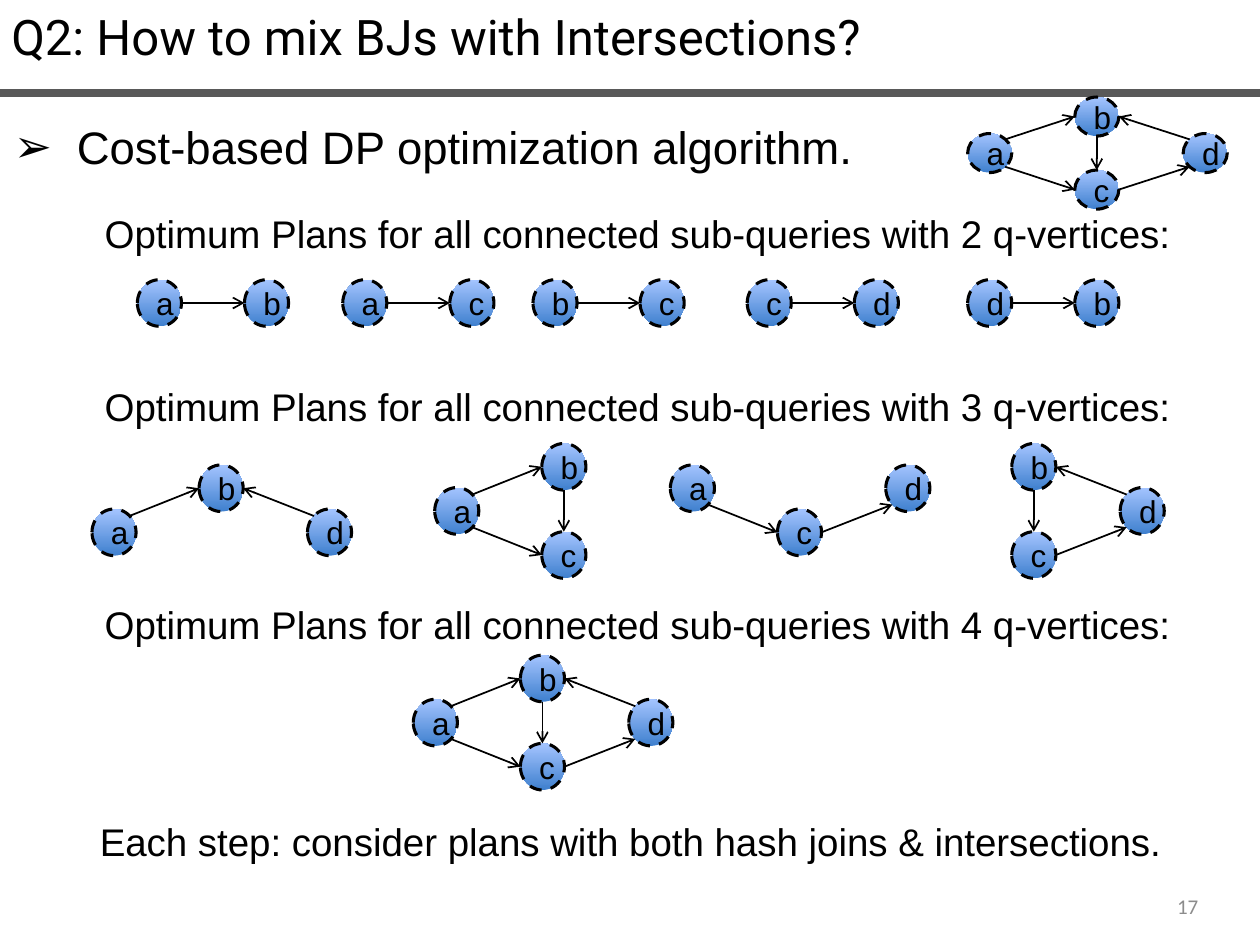
"""Build the slide on mixing binary joins with intersections."""
from dataclasses import dataclass

from pptx import Presentation
from pptx import util as u
from pptx.dml.color import RGBColor
from pptx.enum import dml, shapes, text
from pptx.oxml import ns, xmlchemy

PX = 9144
NODE_WIDTH = 35
COLUMN_SPAN = 171
QUERY_EDGES = ("ab", "ac", "bc", "db", "cd")
DIAMOND = {"a": (0, 1), "b": (1, 0), "c": (1, 2), "d": (2, 1)}
OUTER = "ad"


@dataclass(frozen=True)
class Theme:
    ink: str = "000000"
    rule: str = "595959"
    muted: str = "8C8C8C"
    node_bottom: str = "3F80CE"
    node_top: str = "A4C4FF"
    font: str = "Arial"
    title_font: str = "Roboto"
    number_font: str = "Calibri"
    title: int = 28
    bullet: int = 26
    heading: int = 22
    node: int = 18
    number: int = 12


@dataclass(frozen=True)
class Graph:
    vertices: str
    left: int
    top: int
    node_height: int = 37
    row_step: int = 35
    flat: bool = False


@dataclass(frozen=True)
class Caption:
    wording: str
    left: int
    top: int
    width: int


THEME = Theme()

GRAPHS = [
    Graph("abcd", 768, 77, node_height=31, row_step=29),
    *(Graph(pair, left, 222, flat=True) for pair, left in
      (("ab", 109), ("ac", 272), ("bc", 423), ("cd", 593), ("db", 768))),
    Graph("abd", 73, 369),
    Graph("abc", 345, 352),
    Graph("acd", 532, 334),
    Graph("bcd", 718, 352),
    Graph("abcd", 328, 520),
]

CAPTIONS = [
    *(Caption(f"Optimum Plans for all connected sub-queries with {count} q-vertices:", 67, top, 878)
      for count, top in ((2, 162), (3, 299), (4, 472))),
    Caption("Each step: consider plans with both hash joins & intersections.", 64, 644, 873),
]


def place(shape, left: int, top: int, width: int, height: int) -> None:
    """Move and size a shape in px."""
    shape.left, shape.top = left * PX, top * PX
    shape.width, shape.height = width * PX, height * PX


def write(shape, wording: str, *, size: int, font: str = THEME.font, color: str = THEME.ink,
          align=text.PP_ALIGN.LEFT, anchor=text.MSO_ANCHOR.TOP,
          spacing: float = 1.0, bullet: str = "", indent: int = 0) -> None:
    """Fill a shape with one formatted paragraph."""
    frame = shape.text_frame
    frame.word_wrap = True
    frame.auto_size = text.MSO_AUTO_SIZE.NONE
    frame.vertical_anchor = anchor
    frame.text = wording
    paragraph = frame.paragraphs[0]
    paragraph.alignment = align
    paragraph.line_spacing = spacing
    paragraph.space_before = u.Pt(0)
    if bullet:
        properties = paragraph._p.get_or_add_pPr()
        properties.set("marL", str(indent * PX))
        properties.set("indent", str(-indent * PX))
        add_child(properties, "a:buFont", typeface=font)
        add_child(properties, "a:buChar", char=bullet)
    run_font = paragraph.runs[0].font
    run_font.size = u.Pt(size)
    run_font.name = font
    run_font.color.rgb = RGBColor.from_string(color)


def add_child(parent, tag: str, **attributes: str) -> None:
    """Append a DrawingML element to its parent."""
    child = xmlchemy.OxmlElement(tag)
    for name, value in attributes.items():
        child.set(name, value)
    parent.append(child)


def add_line(slide, start: tuple, end: tuple, color: str, weight: float, arrow: bool = False) -> None:
    """Draw a straight line, with an arrowhead at its end on request."""
    points = [round(length * PX) for length in (*start, *end)]
    connector = slide.shapes.add_connector(shapes.MSO_CONNECTOR.STRAIGHT, *points)
    connector.line.color.rgb = RGBColor.from_string(color)
    connector.line.width = u.Pt(weight)
    properties = connector._element.spPr
    if arrow:
        add_child(properties.find(ns.qn("a:ln")), "a:tailEnd", type="arrow")
    add_child(properties, "a:effectLst")


def add_vertex(slide, label: str, left: int, top: int, height: int) -> None:
    """Draw one dashed query vertex."""
    vertex = slide.shapes.add_shape(shapes.MSO_SHAPE.OVAL, 0, 0, 0, 0)
    place(vertex, left, top, NODE_WIDTH, height)
    vertex.shadow.inherit = False
    vertex.fill.gradient()
    vertex.fill.gradient_angle = 90
    for stop, color in zip(vertex.fill.gradient_stops, (THEME.node_bottom, THEME.node_top)):
        stop.color.rgb = RGBColor.from_string(color)
    vertex.line.color.rgb = RGBColor.from_string(THEME.ink)
    vertex.line.width = u.Pt(1.75)
    vertex.line.dash_style = dml.MSO_LINE.DASH
    write(vertex, label, size=THEME.node, align=text.PP_ALIGN.CENTER,
          anchor=text.MSO_ANCHOR.MIDDLE)


def sign(number: int) -> int:
    """Return -1, 0 or 1."""
    return (number > 0) - (number < 0)


def edge_end(label: str, corner: tuple, other: tuple, height: int) -> tuple:
    """Find where an edge to another vertex meets this vertex."""
    across, down = (sign(target - own) for own, target in zip(corner, other))
    reach = 0.5
    if across and down:
        if label in OUTER:
            reach = 0.35
        else:
            down = 0
    return (corner[0] + NODE_WIDTH * (0.5 + reach * across),
            corner[1] + height * (0.5 + reach * down))


def add_graph(slide, graph: Graph) -> None:
    """Draw a sub-query with its vertices and directed edges."""
    cells = ({label: (column, 0) for column, label in enumerate(graph.vertices)}
             if graph.flat else DIAMOND)
    corners = {label: (graph.left + cells[label][0] * COLUMN_SPAN // 2,
                       graph.top + cells[label][1] * graph.row_step)
               for label in graph.vertices}
    for label, corner in corners.items():
        add_vertex(slide, label, *corner, graph.node_height)
    for tail, head in QUERY_EDGES:
        if tail in corners and head in corners:
            start = edge_end(tail, corners[tail], corners[head], graph.node_height)
            end = edge_end(head, corners[head], corners[tail], graph.node_height)
            add_line(slide, start, end, THEME.ink, 1, arrow=True)


def add_text_box(slide, wording: str, left: int, top: int, width: int, height: int, **style) -> None:
    """Add a text box with one formatted paragraph."""
    box = slide.shapes.add_textbox(0, 0, 0, 0)
    place(box, left, top, width, height)
    write(box, wording, **style)


def main() -> None:
    """Build and save the slide."""
    presentation = Presentation()
    presentation.slide_width, presentation.slide_height = 1000 * PX, 750 * PX
    slide = presentation.slides.add_slide(presentation.slide_layouts[1])
    title, body = slide.placeholders
    place(title, -1, 0, 1013, 57)
    write(title, "Q2: How to mix BJs with Intersections?", size=THEME.title, font=THEME.title_font)
    place(body, 1, 68, 999, 72)
    write(body, "Cost-based DP optimization algorithm.", size=THEME.bullet, spacing=1.5,
          bullet="➢", indent=50)
    add_line(slide, (-1, 74), (1000, 74), THEME.rule, 4.5)
    for graph in GRAPHS:
        add_graph(slide, graph)
    for caption in CAPTIONS:
        add_text_box(slide, caption.wording, caption.left, caption.top, caption.width, 47,
                     size=THEME.heading, align=text.PP_ALIGN.CENTER)
    add_text_box(slide, "17", 728, 699, 233, 40, size=THEME.number, font=THEME.number_font,
                 color=THEME.muted, align=text.PP_ALIGN.RIGHT, anchor=text.MSO_ANCHOR.MIDDLE)
    presentation.save("out.pptx")


if __name__ == "__main__":
    main()
